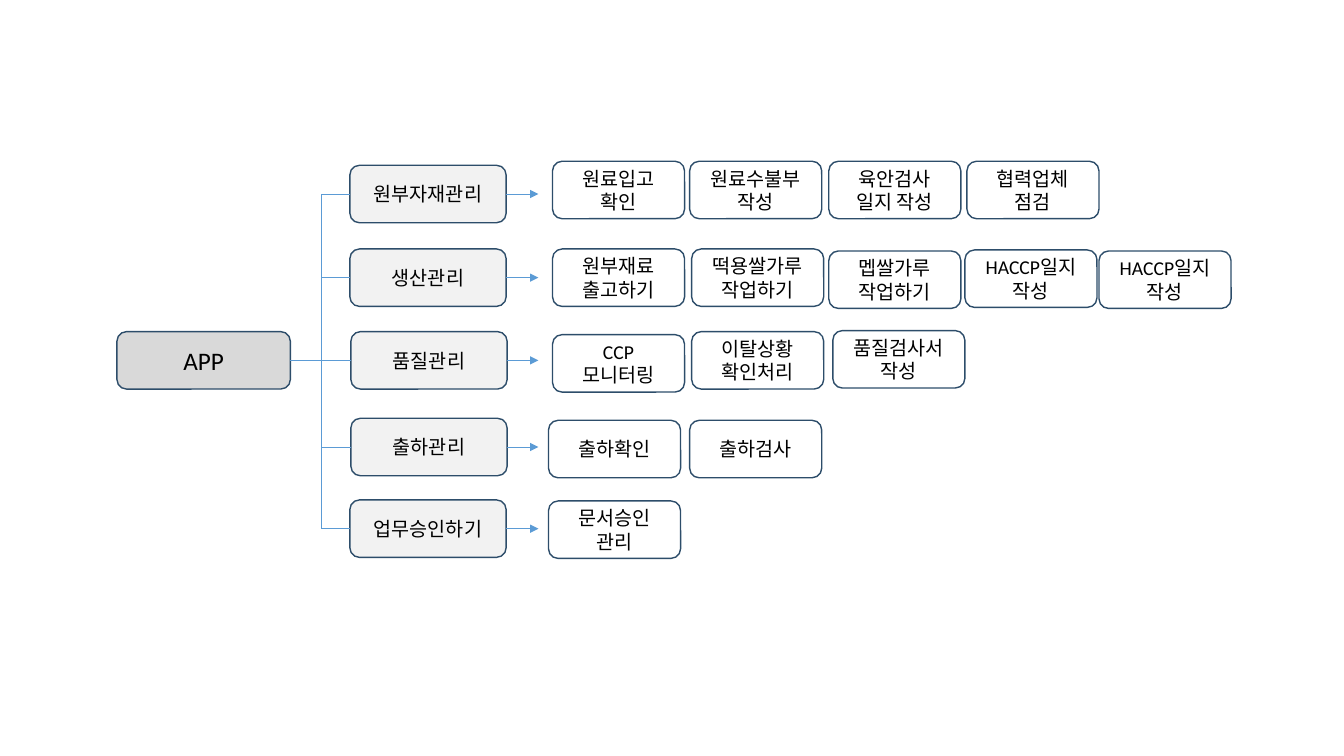
from lxml.etree import SubElement
from pptx import Presentation
from pptx.dml.color import RGBColor
from pptx.enum.shapes import MSO_CONNECTOR, MSO_SHAPE
from pptx.enum.text import MSO_ANCHOR, PP_ALIGN
from pptx.oxml.ns import qn
from pptx.util import Inches, Pt

APP_GRAY = RGBColor(0xD9, 0xD9, 0xD9)
GROUP_GRAY = RGBColor(0xF2, 0xF2, 0xF2)
WHITE = RGBColor(0xFF, 0xFF, 0xFF)
BLACK = RGBColor(0x00, 0x00, 0x00)
NAVY = RGBColor(0x2D, 0x4D, 0x6A)
BLUE = RGBColor(0x5B, 0x9B, 0xD5)

BOX_HEIGHT = 0.57
GROUP_WIDTH = 1.55
CARD_WIDTH = 1.31
TRUNK_X = 3.19
ARROW_TIP_X = 5.34
TOP, LEFT, BOTTOM, RIGHT = range(4)

MENU = [
    ("원부자재관리", 3.47, 1.64, [
        ("원료입고\n확인", 5.48, 1.6),
        ("원료수불부\n작성", 6.84, 1.6),
        ("육안검사\n일지 작성", 8.22, 1.6),
        ("협력업체\n점검", 9.59, 1.6),
    ]),
    ("생산관리", 3.47, 2.47, [
        ("원부재료\n출고하기", 5.48, 2.47),
        ("떡용쌀가루\n작업하기", 6.86, 2.47),
        ("멥쌀가루\n작업하기", 8.22, 2.49),
        ("HACCP일지\n작성", 9.57, 2.48),
        ("HACCP일지\n작성", 10.9, 2.49),
    ]),
    ("품질관리", 3.48, 3.29, [
        ("CCP\n모니터링", 5.48, 3.32),
        ("이탈상황\n확인처리", 6.86, 3.29),
        ("품질검사서\n작성", 8.26, 3.28),
    ]),
    ("출하관리", 3.48, 4.15, [
        ("출하확인", 5.44, 4.17),
        ("출하검사", 6.84, 4.17),
    ]),
    ("업무승인하기", 3.47, 4.96, [
        ("문서승인\n관리", 5.44, 4.97),
    ]),
]


class MenuChart:
    """Draws the boxes and lines of a menu tree on one slide."""

    def __init__(self, page, font="Calibri"):
        self.page = page
        self.font = font

    def box(self, text, left, top, width, fill, size=14):
        box = self.page.shapes.add_shape(
            MSO_SHAPE.ROUNDED_RECTANGLE,
            Inches(left), Inches(top), Inches(width), Inches(BOX_HEIGHT))
        box.shadow.inherit = False
        box.fill.solid()
        box.fill.fore_color.rgb = fill
        box.line.color.rgb = NAVY
        box.line.width = Pt(1)
        frame = box.text_frame
        frame.text = text
        frame.word_wrap = True
        frame.vertical_anchor = MSO_ANCHOR.MIDDLE
        for para in frame.paragraphs:
            para.alignment = PP_ALIGN.CENTER
            for span in para.runs:
                span.font.name = self.font
                span.font.size = Pt(size)
                span.font.color.rgb = BLACK
        return box

    def line(self, start, end, source=None, target=None, arrow=False):
        line = self.page.shapes.add_connector(
            MSO_CONNECTOR.STRAIGHT, *map(Inches, start + end))
        line.line.color.rgb = BLUE
        line.line.width = Pt(0.5)
        if source is not None:
            line.begin_connect(source, RIGHT)
        if target is not None:
            line.end_connect(target, LEFT)
        if arrow:
            SubElement(line.line._get_or_add_ln(), qn("a:tailEnd"), type="triangle")
        SubElement(line._element.spPr, qn("a:effectLst"))


def main():
    deck = Presentation()
    deck.slide_width = Inches(13.33)
    deck.slide_height = Inches(7.5)
    chart = MenuChart(deck.slides.add_slide(deck.slide_layouts[6]))

    app_left, app_top, app_width = 1.16, 3.29, 1.72
    app = chart.box("APP", app_left, app_top, app_width, APP_GRAY, size=18)

    middles = [top + BOX_HEIGHT / 2 for _, _, top, _ in MENU]
    chart.line((TRUNK_X, middles[0]), (TRUNK_X, middles[-1]))

    for (name, left, top, cards), middle in zip(MENU, middles):
        group = chart.box(name, left, top, GROUP_WIDTH, GROUP_GRAY)
        if top == app_top:
            chart.line((app_left + app_width, middle), (left, middle), app, group)
        else:
            chart.line((TRUNK_X, middle), (left, middle), target=group)
        chart.line((left + GROUP_WIDTH, middle), (ARROW_TIP_X, middle),
                   source=group, arrow=True)
        for text, card_left, card_top in cards:
            chart.box(text, card_left, card_top, CARD_WIDTH, WHITE)

    deck.save("out.pptx")


if __name__ == "__main__":
    main()
